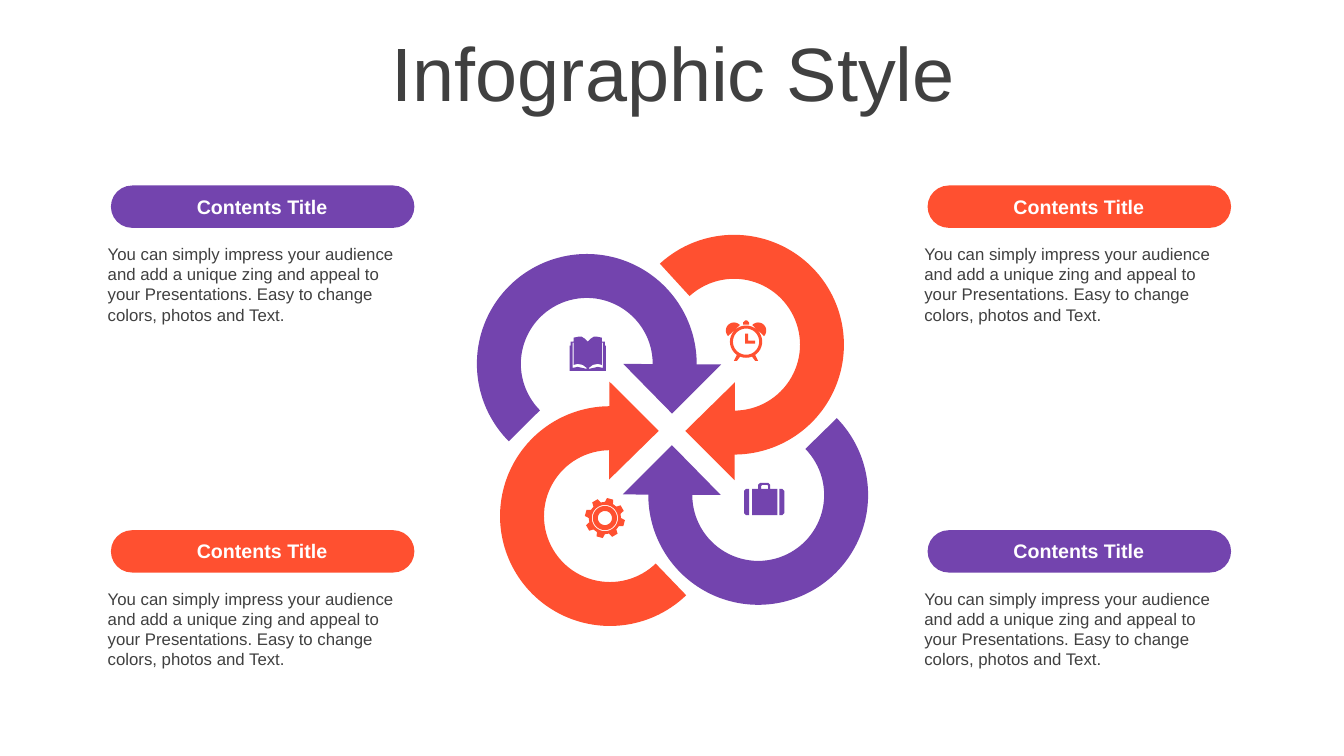
import math

import pptx
import pptx.dml.color
import pptx.enum.shapes
import pptx.enum.text
import pptx.util

Inches = pptx.util.Inches
Pt = pptx.util.Pt
SHAPE = pptx.enum.shapes.MSO_SHAPE
ALIGN = pptx.enum.text.PP_ALIGN
ANCHOR = pptx.enum.text.MSO_ANCHOR

COLOURS = {"purple": "7344AE", "orange": "FF5030", "text": "404040", "white": "FFFFFF"}
FONT = "Arial"
HEADING = "Contents Title"
BODY = (
    "You can simply impress your audience and add a unique zing and appeal to "
    "your Presentations. Easy to change colors, photos and Text."
)

# pill left, pill top, colour
CARDS = [
    (9.2, 1.84, "orange"),
    (9.2, 5.26, "purple"),
    (1.1, 1.84, "purple"),
    (1.1, 5.26, "orange"),
]

# ring left, ring top, arc end, head left, head top, colour; each turns 90 degrees further
RING_ARROWS = [
    (4.73, 2.52, 81.13, 6.32, 3.27, "purple"),
    (6.19, 2.33, 82.53, 6.94, 3.93, "orange"),
    (6.43, 3.82, 81.4, 6.32, 4.56, "purple"),
    (4.96, 4.03, 81.65, 5.7, 3.93, "orange"),
]
RING_SIZE = 2.18
HEAD_SIZE = 0.69


def rgb(colour):
    return pptx.dml.color.RGBColor.from_string(COLOURS[colour])


def paint(shape, colour):
    """Give a shape a plain fill with no outline or shadow."""
    shape.fill.solid()
    shape.fill.fore_color.rgb = rgb(colour)
    shape.line.fill.background()
    shape.shadow.inherit = False


def add_filled(shapes, preset, left, top, width, height, colour, adjustments, rotation=0):
    shape = shapes.add_shape(preset, Inches(left), Inches(top), Inches(width), Inches(height))
    paint(shape, colour)
    for index, value in enumerate(adjustments):
        shape.adjustments[index] = value
    shape.rotation = rotation


def add_text(shapes, left, top, width, height, text, size, colour,
             align=ALIGN.LEFT, bold=False, anchor=ANCHOR.TOP, line_spacing=None):
    frame = shapes.add_textbox(Inches(left), Inches(top), Inches(width), Inches(height)).text_frame
    frame.word_wrap = True
    frame.vertical_anchor = anchor
    paragraph = frame.paragraphs[0]
    paragraph.alignment = align
    paragraph.line_spacing = line_spacing
    run = paragraph.add_run()
    run.text = text
    run.font.name = FONT
    run.font.size = Pt(size)
    run.font.bold = bold
    run.font.color.rgb = rgb(colour)


def add_card(slide, left, top, colour):
    card = slide.shapes.add_group_shape().shapes
    add_filled(card, SHAPE.ROUNDED_RECTANGLE, left, top, 3.01, 0.42, colour, [0.5])
    add_text(card, left - 0.13, top + 0.53, 3.26, 0.91, BODY, 12, "text")
    add_text(card, left + 0.09, top + 0.04, 2.82, 0.34, HEADING, 14, "white", ALIGN.CENTER, True)


def add_ring_arrows(slide):
    arrows = slide.shapes.add_group_shape().shapes
    for turn, (left, top, arc_end, head_left, head_top, colour) in enumerate(RING_ARROWS):
        add_filled(arrows, SHAPE.BLOCK_ARC, left, top, RING_SIZE, RING_SIZE, colour,
                   [arc_end, 0.61, 0.2], 90 * turn)
        add_filled(arrows, SHAPE.ISOSCELES_TRIANGLE, head_left, head_top, HEAD_SIZE, HEAD_SIZE,
                   colour, [0.01], (315 + 90 * turn) % 360)


def add_icon(slide, outlines, colour):
    """Draw closed outlines as one shape; an outline inside another cuts a hole."""
    builder = None
    for outline in outlines:
        points = [(Inches(x), Inches(y)) for x, y in outline]
        if builder is None:
            builder = slide.shapes.build_freeform(*points[0])
        else:
            builder.move_to(*points[0])
        builder.add_line_segments(points[1:], close=True)
    paint(builder.convert_to_shape(), colour)


def polar(cx, cy, radius, degrees):
    angle = math.radians(degrees)
    return cx + radius * math.cos(angle), cy + radius * math.sin(angle)


def arc(cx, cy, radius, start=0, end=350):
    steps = 35
    return [polar(cx, cy, radius, start + (end - start) * i / steps) for i in range(steps + 1)]


def with_mirror(outlines, axis):
    """Return the outlines together with their reflections about a vertical axis."""
    return outlines + [[(2 * axis - x, y) for x, y in outline] for outline in outlines]


def clock_outlines():
    cx, cy = 7.4, 3.39
    leg = [(7.49, 3.52), (7.52, 3.58), (7.49, 3.58), (7.46, 3.54)]
    bell = arc(7.52, 3.28, 0.08, -137, 43)
    hands = [(7.39, 3.31), (7.42, 3.31), (7.42, 3.38), (7.49, 3.38), (7.49, 3.41), (7.39, 3.41)]
    button = [(7.37, 3.22), (7.37, 3.2), (7.39, 3.18), (7.41, 3.18), (7.43, 3.2), (7.43, 3.22)]
    return [arc(cx, cy, 0.16), arc(cx, cy, 0.13), hands, button] + with_mirror([leg, bell], cx)


def suitcase_outlines():
    side = [(7.73, 4.85), (7.76, 4.85), (7.78, 4.87), (7.78, 5.09), (7.76, 5.11), (7.73, 5.11)]
    body = [(7.46, 4.85), (7.52, 4.85), (7.52, 4.81), (7.54, 4.79), (7.62, 4.79),
            (7.64, 4.81), (7.64, 4.85), (7.71, 4.85), (7.71, 5.11), (7.46, 5.11)]
    handle_gap = [(7.55, 4.85), (7.55, 4.82), (7.56, 4.81), (7.61, 4.81), (7.62, 4.82), (7.62, 4.85)]
    return [body, handle_gap] + with_mirror([side], 7.58)


def gear_outlines():
    cx, cy = 6, 5.14
    teeth = []
    for tooth in range(8):
        middle = -75 + 45 * tooth
        for radius, offset in [(0.16, -15), (0.2, -9), (0.2, 9), (0.16, 15)]:
            teeth.append(polar(cx, cy, radius, middle + offset))
    return [teeth] + [arc(cx, cy, radius) for radius in (0.13, 0.12, 0.07)]


def book_outlines():
    half = [(5.83, 3.39), (5.86, 3.36), (5.89, 3.34), (5.92, 3.34), (5.97, 3.35), (5.97, 3.39),
            (6, 3.39), (6, 3.43), (6.01, 3.43), (6.01, 3.68), (5.83, 3.68)]
    page_edge = [(5.97, 3.4), (5.98, 3.4), (5.98, 3.65), (5.93, 3.64), (5.84, 3.66),
                 (5.84, 3.65), (5.88, 3.62), (5.93, 3.61), (5.97, 3.62)]
    return with_mirror([half, page_edge], 5.83)


def main():
    deck = pptx.Presentation()
    deck.slide_width, deck.slide_height = Inches(13.33), Inches(7.5)
    slide = deck.slides.add_slide(deck.slide_layouts[6])

    add_text(slide.shapes, 0.35, 0.37, 12.66, 0.79, "Infographic Style", 54, "text",
             ALIGN.CENTER, anchor=ANCHOR.MIDDLE, line_spacing=0.9)
    add_ring_arrows(slide)
    add_icon(slide, clock_outlines(), "orange")
    add_icon(slide, suitcase_outlines(), "purple")
    add_icon(slide, gear_outlines(), "orange")
    add_icon(slide, book_outlines(), "purple")
    for left, top, colour in CARDS:
        add_card(slide, left, top, colour)

    deck.save("out.pptx")


if __name__ == "__main__":
    main()
